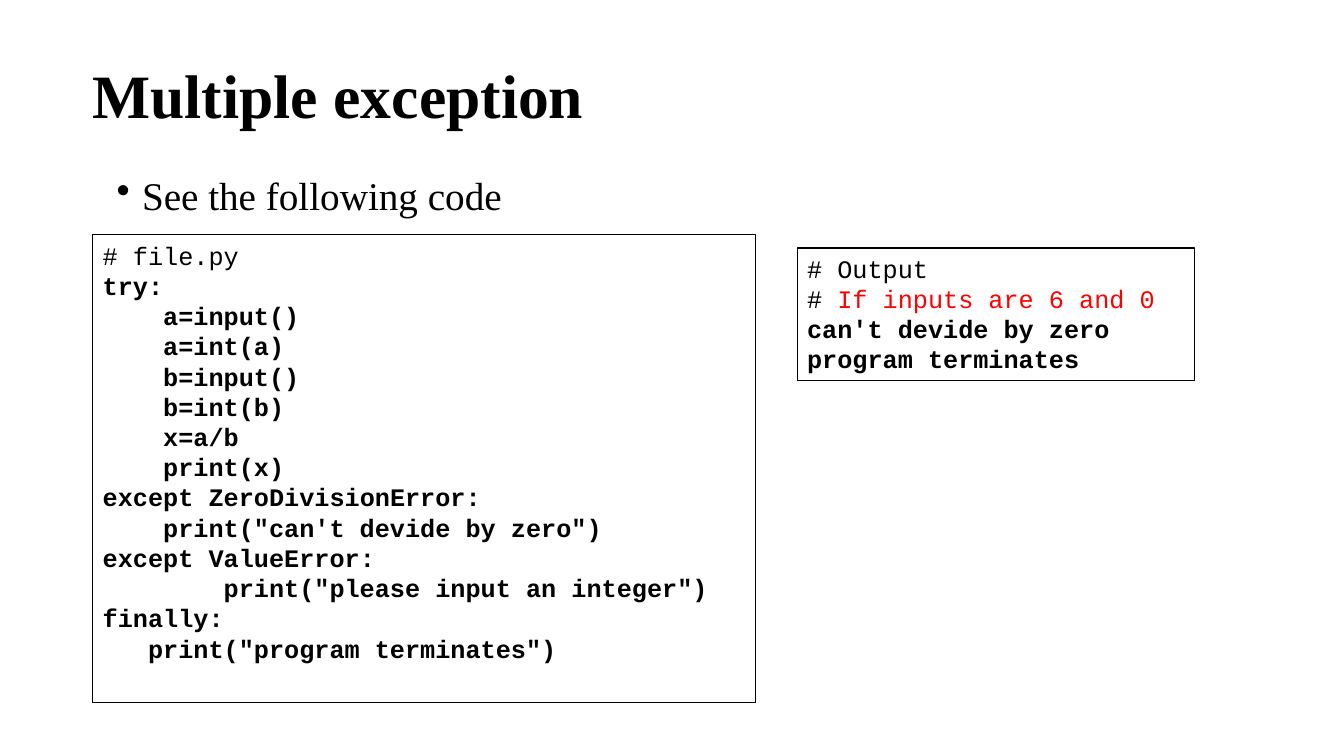
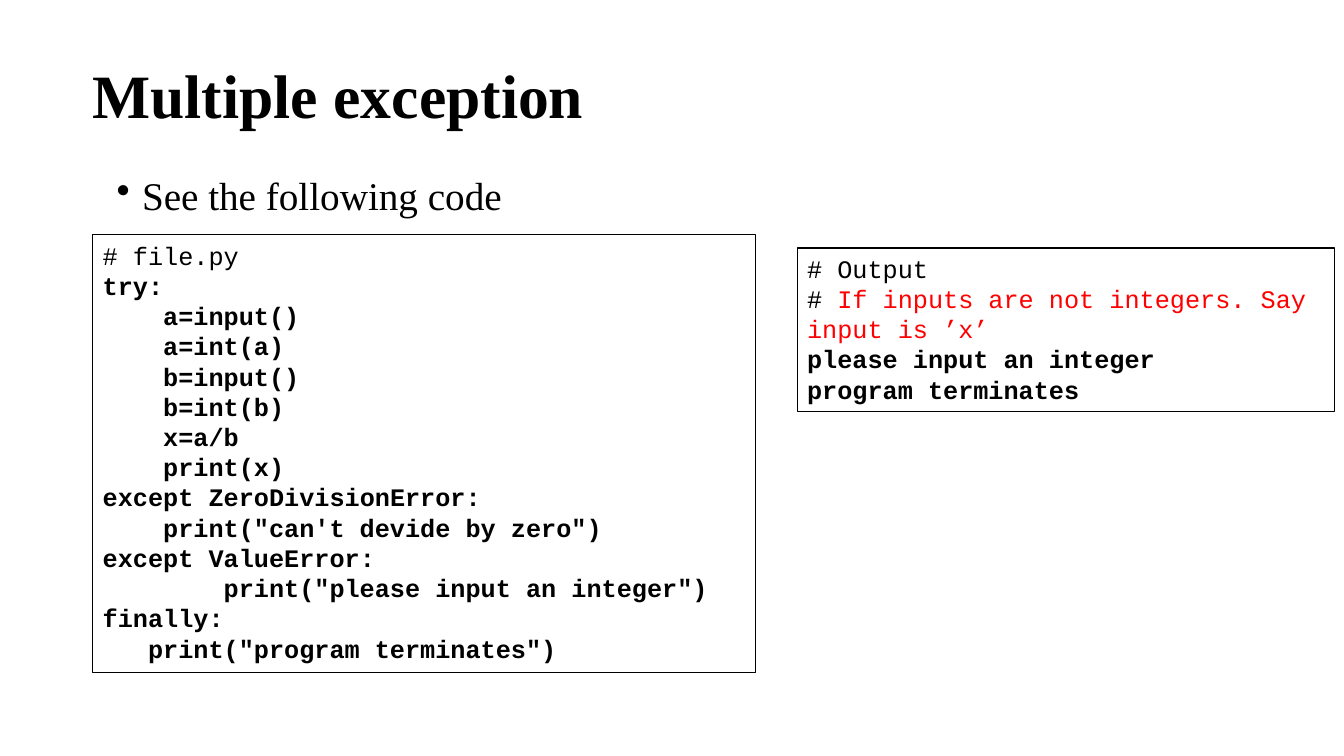
from dataclasses import dataclass

import lxml.etree
import pptx
import pptx.dml.color
import pptx.enum.shapes
import pptx.enum.text
import pptx.oxml.ns
import pptx.util
from pptx.util import Cm

COLORS = {"ink": "000000", "input": "FF0000"}
SERIF = "Times New Roman"
MONO = "Courier New"
CODE_SIZE = 18
CHAR_WIDTH_CM = CODE_SIZE * 0.6 * 2.54 / 72

TITLE = "Multiple exception"
LEAD = "See the following code"
PROGRAM = """\
# file.py
try:
    a=input()
    a=int(a)
    b=input()
    b=int(b)
    x=a/b
    print(x)
except ZeroDivisionError:
    print("can't devide by zero")
except ValueError:
        print("please input an integer")
finally:
   print("program terminates")"""


@dataclass(frozen=True)
class Area:
    left: float
    top: float
    width: float
    height: float

    def lengths(self) -> tuple:
        return Cm(self.left), Cm(self.top), Cm(self.width), Cm(self.height)


@dataclass(frozen=True)
class Line:
    text: str
    bold: bool = True
    highlight: str = ""


@dataclass(frozen=True)
class Listing:
    area: Area
    lines: list[Line]


@dataclass(frozen=True)
class Example:
    program_height: float
    output_width: float
    output_height: float
    condition: str
    message: str


TITLE_AREA = Area(2.08, 0.64, 29.2, 3.68)
LEAD_AREA = Area(2.69, 4.32, 29.2, 1.5)

EXAMPLES = [
    Example(11.79, 10.01, 3.33, "If inputs are 6 and 0", "can't devide by zero"),
    Example(11.02, 13.54, 4.11,
            "If inputs are not integers. Say input is ’x’",
            "please input an integer"),
]


def rgb(name: str) -> pptx.dml.color.RGBColor:
    return pptx.dml.color.RGBColor.from_string(COLORS[name])


def set_font(paragraph, family: str, size: int, bold: bool) -> None:
    paragraph.alignment = pptx.enum.text.PP_ALIGN.LEFT
    paragraph.font.name = family
    paragraph.font.size = pptx.util.Pt(size)
    paragraph.font.bold = bold
    paragraph.font.color.rgb = rgb("ink")


def set_indent(paragraph, margin: float, first_line: float = 0) -> None:
    properties = paragraph._p.get_or_add_pPr()
    properties.set("marL", str(Cm(margin)))
    properties.set("indent", str(Cm(first_line)))


def add_bullet(paragraph) -> None:
    set_indent(paragraph, 0.64, -0.64)
    bullet = lxml.etree.Element(pptx.oxml.ns.qn("a:buChar"), char="•")
    properties = paragraph._p.get_or_add_pPr()
    properties.find(pptx.oxml.ns.qn("a:defRPr")).addprevious(bullet)


def draw_title(slide) -> None:
    title = slide.shapes.title
    title.left, title.top, title.width, title.height = TITLE_AREA.lengths()
    frame = title.text_frame
    frame.text = TITLE
    frame.auto_size = pptx.enum.text.MSO_AUTO_SIZE.NONE
    frame.vertical_anchor = pptx.enum.text.MSO_ANCHOR.MIDDLE
    heading = frame.paragraphs[0]
    heading.line_spacing = 0.9
    set_font(heading, SERIF, 44, True)


def draw_lead(slide) -> None:
    frame = slide.shapes.add_textbox(*LEAD_AREA.lengths()).text_frame
    frame.word_wrap = True
    lead = frame.paragraphs[0]
    lead.text = LEAD
    lead.line_spacing = 0.9
    lead.space_before = pptx.util.Pt(10)
    set_font(lead, SERIF, 28, False)
    add_bullet(lead)


def draw_listing(slide, listing: Listing) -> None:
    panel = slide.shapes.add_shape(
        pptx.enum.shapes.MSO_SHAPE.RECTANGLE, *listing.area.lengths())
    panel.shadow.inherit = False
    panel.fill.background()
    panel.line.color.rgb = rgb("ink")
    panel.line.width = pptx.util.Pt(0.75)
    frame = panel.text_frame
    frame.word_wrap = True
    frame.vertical_anchor = pptx.enum.text.MSO_ANCHOR.TOP
    for index, line in enumerate(listing.lines):
        paragraph = frame.add_paragraph() if index else frame.paragraphs[0]
        code = line.text.lstrip()
        paragraph.add_run().text = code
        set_font(paragraph, MONO, CODE_SIZE, line.bold)
        set_indent(paragraph, (len(line.text) - len(code)) * CHAR_WIDTH_CM)
        if line.highlight:
            highlight = paragraph.add_run()
            highlight.text = line.highlight
            highlight.font.color.rgb = rgb("input")


def draw_example(deck, example: Example) -> None:
    slide = deck.slides.add_slide(deck.slide_layouts[5])
    draw_title(slide)
    draw_lead(slide)
    program = [Line(text, not text.startswith("#")) for text in PROGRAM.splitlines()]
    output = [
        Line("# Output", False),
        Line("# ", False, example.condition),
        Line(example.message),
        Line("program terminates"),
    ]
    draw_listing(slide, Listing(Area(2.34, 5.92, 16.69, example.program_height), program))
    draw_listing(slide, Listing(
        Area(20.09, 6.25, example.output_width, example.output_height), output))


def main() -> None:
    deck = pptx.Presentation()
    deck.slide_width, deck.slide_height = Cm(33.87), Cm(19.05)
    for example in EXAMPLES:
        draw_example(deck, example)
    deck.save("out.pptx")


main()
